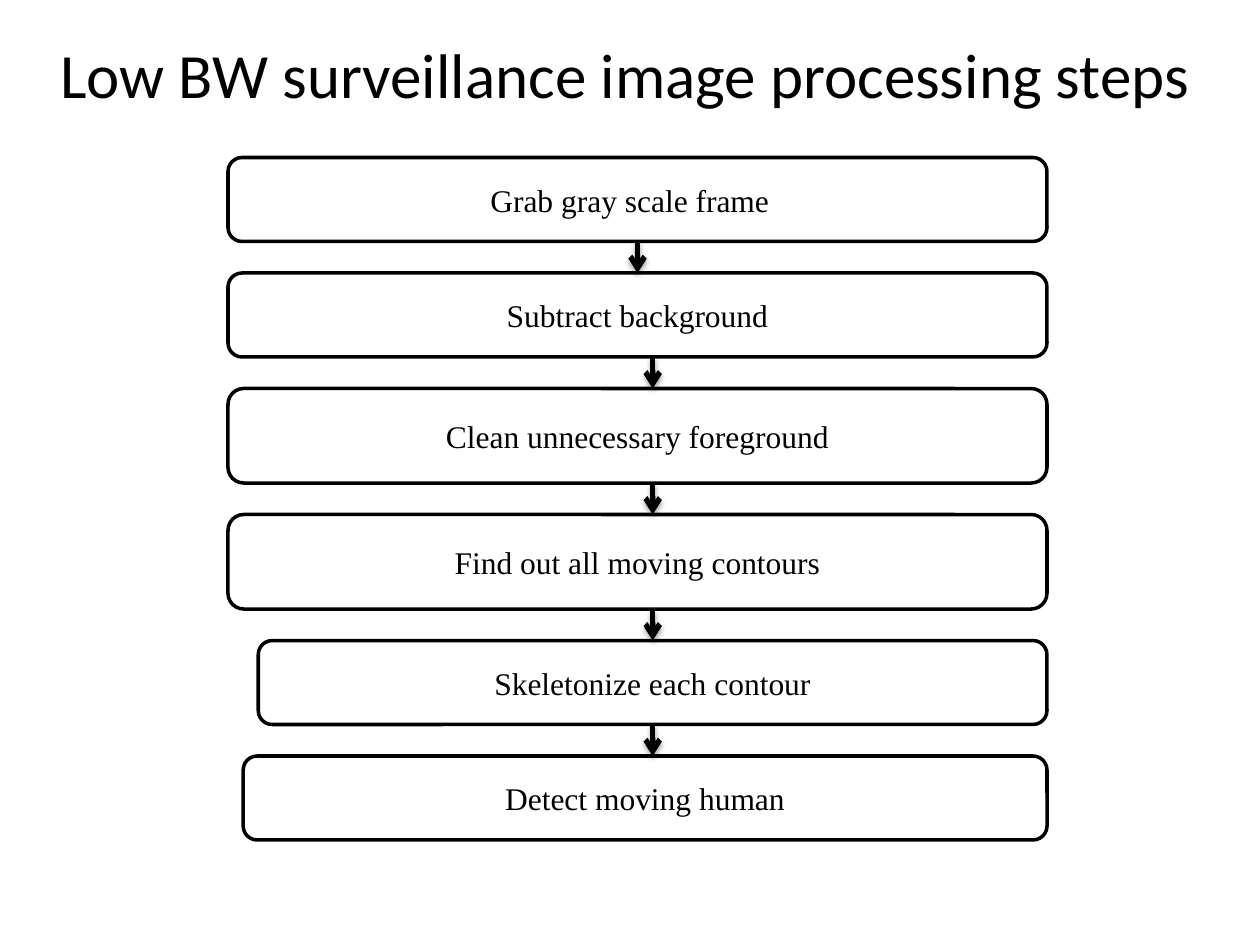
from lxml.etree import SubElement
from pptx import Presentation
from pptx.dml.color import RGBColor
from pptx.enum.shapes import MSO_CONNECTOR, MSO_SHAPE
from pptx.enum.text import MSO_ANCHOR, PP_ALIGN
from pptx.oxml.ns import qn
from pptx.util import Inches, Pt

COLORS = {"ink": "000000", "paper": "FFFFFF"}
TITLE_FONT = {"name": "Calibri", "size": Pt(36)}
STEP_FONT = {"name": "Times New Roman", "size": Pt(18)}


class FlowSlide:
    def __init__(self, slide):
        self.shapes = slide.shapes
        self.colors = {name: RGBColor.from_string(value) for name, value in COLORS.items()}

    def label(self, shape, text, font, right_inset=0.1):
        frame = shape.text_frame
        layout = {"word_wrap": True, "vertical_anchor": MSO_ANCHOR.MIDDLE,
                  "margin_right": Inches(right_inset)}
        for name, value in layout.items():
            setattr(frame, name, value)
        paragraph = frame.paragraphs[0]
        paragraph.alignment = PP_ALIGN.CENTER
        run = paragraph.add_run()
        run.text = text
        for name, value in font.items():
            setattr(run.font, name, value)
        run.font.color.rgb = self.colors["ink"]

    def title(self, text, left, top, width, height):
        heading = self.shapes.add_textbox(*map(Inches, (left, top, width, height)))
        self.label(heading, text, TITLE_FONT)

    def step(self, text, left, top, width, height, right_inset):
        step = self.shapes.add_shape(MSO_SHAPE.ROUNDED_RECTANGLE,
                                     *map(Inches, (left, top, width, height)))
        step.shadow.inherit = False
        step.fill.solid()
        step.fill.fore_color.rgb = self.colors["paper"]
        step.line.color.rgb = self.colors["ink"]
        step.line.width = Pt(2)
        self.label(step, text, STEP_FONT, right_inset)

    def arrow(self, x, top, bottom):
        arrow = self.shapes.add_connector(MSO_CONNECTOR.STRAIGHT,
                                          *map(Inches, (x, top, x, bottom)))
        arrow.line.color.rgb = self.colors["ink"]
        arrow.line.width = Pt(3)
        properties = arrow._element.spPr
        SubElement(properties.find(qn("a:ln")), qn("a:tailEnd"), type="arrow")
        # Soft shadow straight below
        effects = SubElement(properties, qn("a:effectLst"))
        shadow = SubElement(effects, qn("a:outerShdw"), blurRad=str(Pt(3.1)),
                            dist=str(Pt(1.8)), dir="5400000", rotWithShape="0")
        tint = SubElement(shadow, qn("a:srgbClr"), val=COLORS["ink"])
        SubElement(tint, qn("a:alpha"), val="35000")


deck = Presentation()
deck.slide_width, deck.slide_height = Inches(10), Inches(7.5)
flow = FlowSlide(deck.slides.add_slide(deck.slide_layouts[6]))

# Title
flow.title("Low BW surveillance image processing steps", 0.25, 0.25, 9.42, 0.67)

# Steps: text, left, height, right inset, x of the arrow below
STEPS = [
    ("Grab gray scale frame", 1.81, 2 / 3, 0.22, 5.06),
    ("Subtract background", 1.81, 2 / 3, 0.1, 5.18),
    ("Clean unnecessary foreground", 1.81, 0.75, 0.1, 5.18),
    ("Find out all moving contours", 1.81, 0.75, 0.1, 5.18),
    ("Skeletonize each contour", 2.05, 2 / 3, 0.1, 5.18),
    ("Detect moving human", 1.93, 2 / 3, 0.1, None),
]
RIGHT_EDGE, GAP = 8.31, 0.25

top = 1.25
arrows = []
for text, left, height, right_inset, arrow_x in STEPS:
    flow.step(text, left, top, RIGHT_EDGE - left, height, right_inset)
    bottom = top + height
    top = bottom + GAP
    if arrow_x:
        arrows.append((arrow_x, bottom, top))

# Arrows in front of the steps
for ends in arrows:
    flow.arrow(*ends)

deck.save("out.pptx")
